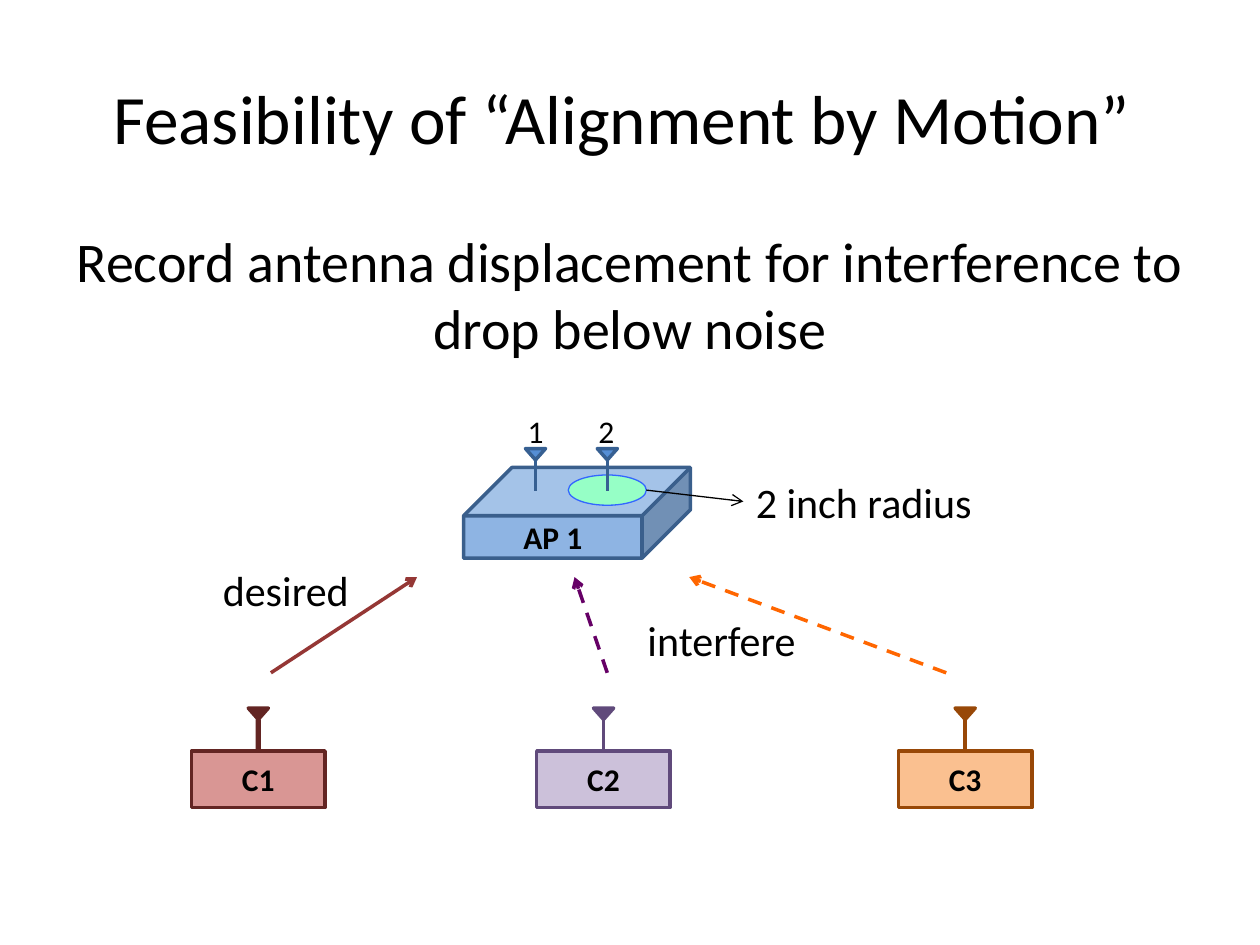
from typing import NamedTuple, Optional

from lxml.etree import SubElement
from pptx import Presentation
from pptx.dml.color import RGBColor
from pptx.enum.dml import MSO_LINE as Dash
from pptx.enum.shapes import MSO_CONNECTOR, MSO_SHAPE as Preset
from pptx.enum.text import MSO_ANCHOR, MSO_AUTO_SIZE, PP_ALIGN
from pptx.oxml.ns import qn
from pptx.util import Inches, Pt

COLORS = {
    "black": "000000",
    "ap_fill": "8EB4E3", "ap_line": "3A5F8C",
    "antenna_fill": "558ED5", "antenna_line": "376092",
    "range_fill": "96FFC6", "range_line": "3366FF",
    "c1_fill": "D99694", "c1_line": "632523",
    "c2_fill": "CCC1DA", "c2_line": "604A7B",
    "c3_fill": "FAC090", "c3_line": "984807",
    "desired": "953735", "interfere_c2": "660066", "interfere_c3": "FF6600",
}
CLIENT_TOP, CLIENT_WIDTH, CLIENT_HEIGHT = 5.96, 1.06, 0.45
CAP_WIDTH, CAP_HEIGHT, ANTENNA_HEIGHT = 0.16, 0.09, 0.34


class Box(NamedTuple):
    left: float
    top: float
    width: float
    height: float


class Client(NamedTuple):
    name: str
    left: float
    color: str
    mast_width: float = 2


class Signal(NamedTuple):
    start: tuple
    end: tuple
    color: str
    width: float = 2
    dash: Optional[Dash] = None


class Label(NamedTuple):
    text: str
    box: Box
    size: float


CLIENTS = [Client("C1", 1.52, "c1", 3), Client("C2", 4.26, "c2"), Client("C3", 7.13, "c3")]
SIGNALS = [
    Signal((2.15, 5.34), (3.31, 4.58), "desired"),
    Signal((4.82, 5.34), (4.56, 4.58), "interfere_c2", dash=Dash.DASH),
    Signal((7.51, 5.34), (5.47, 4.58), "interfere_c3", dash=Dash.DASH),
    Signal((5.13, 3.89), (5.9, 3.98), "black", 0.75),
]
LABELS = [
    Label("1", Box(4.09, 3.22, 0.33, 0.4), 18),
    Label("2", Box(4.65, 3.22, 0.33, 0.4), 18),
    Label("2 inch radius", Box(5.9, 3.73, 1.94, 0.5), 24),
    Label("desired", Box(1.67, 4.43, 1.22, 0.5), 24),
    Label("interfere", Box(5.04, 4.83, 1.41, 0.5), 24),
]


def rgb(color: str) -> RGBColor:
    return RGBColor.from_string(COLORS[color])


def apply(target, formats: dict) -> None:
    for attribute, value in formats.items():
        setattr(target, attribute, value)


def place(placeholder, box: Box) -> None:
    apply(placeholder, {side: Inches(value) for side, value in box._asdict().items()})


def write(frame, text: str, size: float, align=PP_ALIGN.CENTER, bold=False) -> None:
    paragraph = frame.paragraphs[0]
    paragraph.text = text
    paragraph.alignment = align
    apply(paragraph.font, {"name": "Calibri", "size": Pt(size), "bold": bold})
    paragraph.font.color.rgb = rgb("black")


def add_solid(shapes, preset, box: Box, fill: str, line: str, width=2, text=""):
    solid = shapes.add_shape(preset, *map(Inches, box))
    solid.shadow.inherit = False
    solid.fill.solid()
    solid.fill.fore_color.rgb = rgb(fill)
    solid.line.color.rgb = rgb(line)
    solid.line.width = Pt(width)
    if text:
        apply(solid.text_frame, {
            "margin_left": 0, "margin_right": 0, "margin_top": 0, "margin_bottom": 0,
            "vertical_anchor": MSO_ANCHOR.MIDDLE, "word_wrap": True,
        })
        write(solid.text_frame, text, 18, bold=True)
    return solid


def add_line(shapes, start: tuple, end: tuple, color: str, width: float):
    line = shapes.add_connector(MSO_CONNECTOR.STRAIGHT, *map(Inches, start + end))
    line.line.color.rgb = rgb(color)
    line.line.width = Pt(width)
    SubElement(line._element.spPr, qn("a:effectLst"))
    return line


def add_signal(shapes, signal: Signal) -> None:
    arrow = add_line(shapes, signal.start, signal.end, signal.color, signal.width)
    if signal.dash:
        arrow.line.dash_style = signal.dash
    SubElement(arrow.line._get_or_add_ln(), qn("a:tailEnd"), type="arrow")


def add_antenna(shapes, center: float, foot: float, fill: str, line: str, width=2):
    antenna = shapes.add_group_shape().shapes
    top = foot - ANTENNA_HEIGHT
    cap = add_solid(antenna, Preset.ISOSCELES_TRIANGLE,
                    Box(center - CAP_WIDTH / 2, top, CAP_WIDTH, CAP_HEIGHT), fill, line)
    cap.rotation = 180
    return add_line(antenna, (center, top + CAP_HEIGHT), (center, foot), line, width)


def add_client(shapes, client: Client) -> None:
    fill, line = f"{client.color}_fill", f"{client.color}_line"
    station = add_solid(shapes, Preset.RECTANGLE,
                        Box(client.left, CLIENT_TOP, CLIENT_WIDTH, CLIENT_HEIGHT),
                        fill, line, text=client.name)
    mast = add_antenna(shapes, client.left + CLIENT_WIDTH / 2, CLIENT_TOP,
                       line, line, client.mast_width)
    mast.end_connect(station, 0)


def add_label(shapes, label: Label) -> None:
    frame = shapes.add_textbox(*map(Inches, label.box)).text_frame
    apply(frame, {"word_wrap": False, "auto_size": MSO_AUTO_SIZE.SHAPE_TO_FIT_TEXT})
    write(frame, label.text, label.size, PP_ALIGN.LEFT)


def main() -> None:
    deck = Presentation()
    apply(deck, {"slide_width": Inches(10), "slide_height": Inches(7.5)})
    shapes = deck.slides.add_slide(deck.slide_layouts[5]).shapes

    place(shapes.title, Box(0.5, 0.3, 9, 1.25))
    shapes.title.text_frame.vertical_anchor = MSO_ANCHOR.MIDDLE
    write(shapes.title.text_frame, "Feasibility of “Alignment by Motion” ", 39.6)

    task = shapes.add_textbox(*map(Inches, Box(0.5, 1.75, 9, 4.95))).text_frame
    task.word_wrap = True
    write(task, "Record antenna displacement for interference to drop below noise", 32)

    access_point = add_solid(shapes, Preset.CUBE, Box(3.68, 3.71, 1.8, 0.72),
                             "ap_fill", "ap_line", text="AP 1")
    access_point.adjustments[0] = 0.533
    add_antenna(shapes, 4.25, 3.9, "antenna_fill", "antenna_line")
    add_solid(shapes, Preset.OVAL, Box(4.51, 3.77, 0.62, 0.24),
              "range_fill", "range_line", 0.75)
    add_antenna(shapes, 4.82, 3.9, "antenna_fill", "antenna_line")

    for client in CLIENTS:
        add_client(shapes, client)
    for signal in SIGNALS:
        add_signal(shapes, signal)
    for label in LABELS:
        add_label(shapes, label)

    deck.save("out.pptx")


if __name__ == "__main__":
    main()
